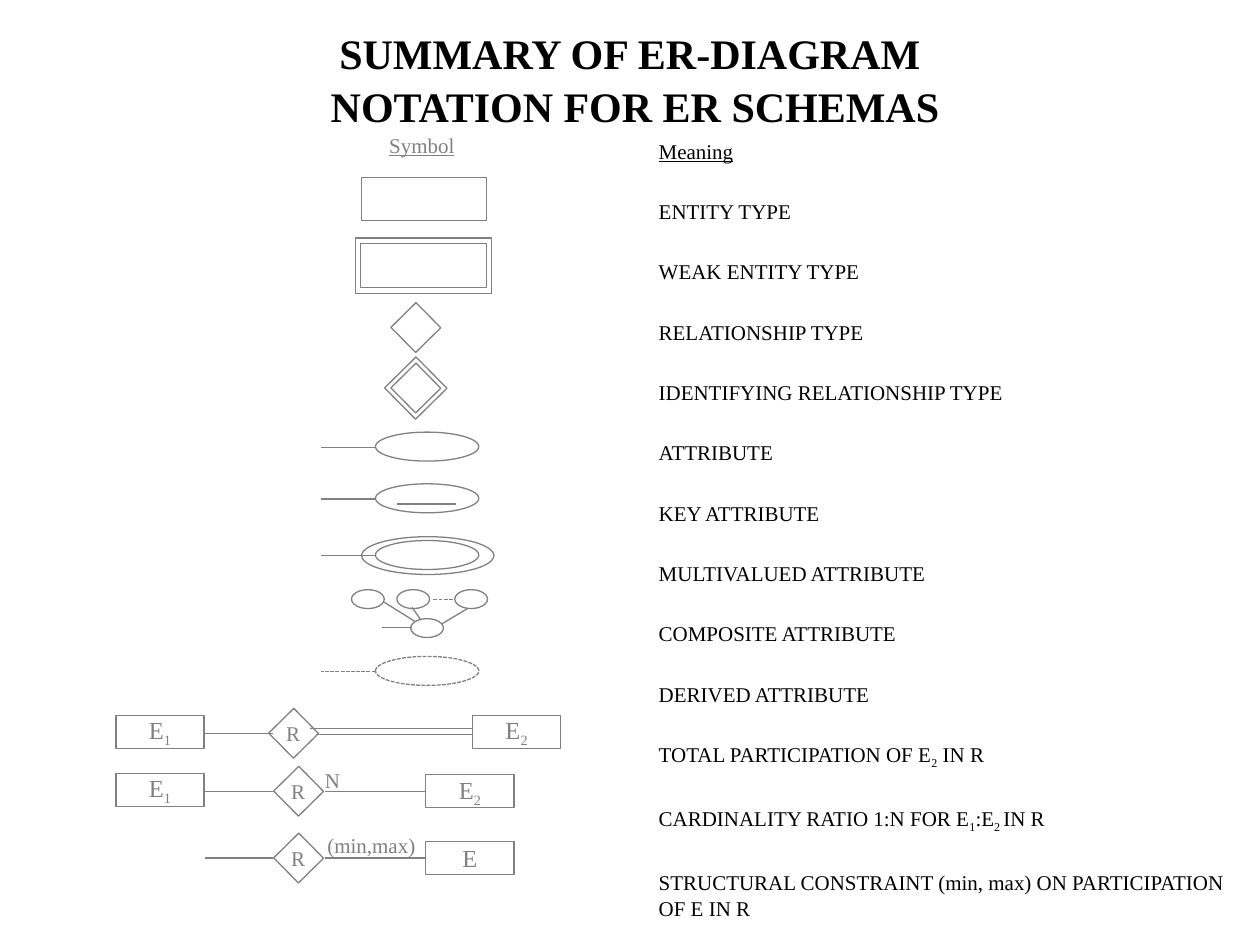
from lxml.etree import SubElement
from pptx import Presentation
from pptx.dml.color import RGBColor
from pptx.enum.dml import MSO_LINE
from pptx.enum.shapes import MSO_CONNECTOR, MSO_SHAPE
from pptx.enum.text import MSO_ANCHOR, PP_ALIGN
from pptx.oxml.ns import qn
from pptx.util import Inches, Pt

# Text between bars is set as a subscript.
TITLE = "SUMMARY OF ER-DIAGRAM \vNOTATION FOR ER SCHEMAS"
MEANINGS = [
    "Meaning", "ENTITY TYPE", "WEAK ENTITY TYPE", "RELATIONSHIP TYPE",
    "IDENTIFYING RELATIONSHIP TYPE", "ATTRIBUTE", "KEY ATTRIBUTE",
    "MULTIVALUED ATTRIBUTE", "COMPOSITE ATTRIBUTE", "DERIVED ATTRIBUTE",
    "TOTAL PARTICIPATION OF E|2| IN R",
    "CARDINALITY RATIO 1:N FOR E|1|:E|2 |IN R",
    "STRUCTURAL CONSTRAINT (min, max) ON PARTICIPATION OF E IN R",
]
ENTITIES = [(2.87, 1.41, 0.99, 0.34), (2.86, 1.93, 1, 0.35), (2.82, 1.89, 1.08, 0.44)]
DIAMONDS = [(3.3, 2.6, 0.28), (3.3, 3.08, 0.28), (3.3, 3.08, 0.35)]  # centre, side
ATTRIBUTES = [(3.43, False), (3.84, False), (4.29, False), (5.21, True)]  # top, derived
PARTS = [(2.79, 4.68), (3.15, 4.68), (3.61, 4.68), (3.26, 4.91)]
PART_LINES = [
    (3.27, 4.98, 3.03, 4.98), (3.05, 4.78, 3.29, 4.93),
    (3.27, 4.82, 3.34, 4.92), (3.51, 4.95, 3.71, 4.83),
]
# top, diamond centre, left entity, right entity and its x, lines to the right
RELATIONS = [
    (5.68, 2.33, "E|1|", "E|2|", 3.75, [(2.46, 5.78), (2.51, 5.83)]),
    (6.14, 2.37, "E|1|", "E|2|", 3.38, [(2.58, 6.28)]),
    (6.67, 2.37, None, "E", 3.38, [(2.58, 6.81)]),
]
LABELS = [("N", 2.48, 6.04, 0.32), ("(min,max)", 2.5, 6.56, 0.9)]

THEME = {
    "font": "Times New Roman", "ink": RGBColor(0, 0, 0),
    "gray": RGBColor(0x80, 0x80, 0x80), "line": Pt(0.75),
    "title": Pt(24), "body": Pt(12), "name": Pt(14),
}

deck = Presentation()
deck.slide_width, deck.slide_height = Inches(10), Inches(7.5)
slide = deck.slides.add_slide(deck.slide_layouts[6])


def write(par, text, size="body", color="gray", **style):
    """Fill a paragraph, lowering every second piece between bars."""
    for i, piece in enumerate(text.split("|")):
        for j, part in enumerate(piece.split("\v")):
            if j:
                par.add_line_break()
            if not part:
                continue
            run = par.add_run()
            run.text = part
            look = {"name": THEME["font"], "size": THEME[size], **style}
            for key, value in look.items():
                setattr(run.font, key, value)
            run.font.color.rgb = THEME[color]
            if i % 2:
                run.font._element.set("baseline", "-25000")


def label(box, text, align=PP_ALIGN.LEFT, wrap=False, pad=0.05, **style):
    frame = slide.shapes.add_textbox(*map(Inches, box)).text_frame
    frame.word_wrap = wrap
    frame.margin_top = frame.margin_bottom = Inches(pad)
    frame.paragraphs[0].alignment = align
    write(frame.paragraphs[0], text, **style)
    return frame


def stroke(item, dash=False):
    item.line.color.rgb = THEME["gray"]
    item.line.width = THEME["line"]
    if dash:
        item.line.dash_style = MSO_LINE.SQUARE_DOT


def shape(kind, box, dash=False):
    item = slide.shapes.add_shape(kind, *map(Inches, box))
    item.shadow.inherit = False
    item.fill.background()
    stroke(item, dash)
    return item


def link(x1, y1, x2, y2, dash=False):
    item = slide.shapes.add_connector(MSO_CONNECTOR.STRAIGHT, *map(Inches, (x1, y1, x2, y2)))
    stroke(item, dash)
    SubElement(item._element.spPr, qn("a:effectLst"))


def diamond(x, y, side):
    box = (x - side / 2, y - side / 2, side, side)
    shape(MSO_SHAPE.RECTANGLE, box).rotation = 45.4


def entity(x, y, text):
    frame = shape(MSO_SHAPE.RECTANGLE, (x, y, 0.7, 0.26)).text_frame
    frame.word_wrap = False
    frame.vertical_anchor = MSO_ANCHOR.MIDDLE
    frame.paragraphs[0].alignment = PP_ALIGN.CENTER
    write(frame.paragraphs[0], text, size="name")


head = label((0.08, 0.22, 9.92, 0.85), TITLE, PP_ALIGN.CENTER, True, 0,
             size="title", color="ink", bold=True)
head.vertical_anchor = MSO_ANCHOR.MIDDLE
head.margin_bottom = Inches(0.05)
head.paragraphs[0].line_spacing = 1.04

body = label((5.13, 1.04, 4.83, 6.21), MEANINGS[0], wrap=True, color="ink", underline=True)
for text in MEANINGS[1:]:
    par = body.add_paragraph()
    par.space_before = Pt(9)
    write(par, text, color="ink")
for par in body.paragraphs:
    par.space_after = Pt(10.5)
    par.line_spacing = 1.04

label((2.99, 1.05, 0.72, 0.2), "Symbol", pad=0, underline=True)
for box in ENTITIES:
    shape(MSO_SHAPE.RECTANGLE, box)
for spot in DIAMONDS:
    diamond(*spot)

for top, derived in ATTRIBUTES:
    shape(MSO_SHAPE.OVAL, (2.98, top, 0.82, 0.23), derived)
    link(2.98, top + 0.12, 2.55, top + 0.12, derived)
link(3.15, 4, 3.62, 4)  # key underline
shape(MSO_SHAPE.OVAL, (2.87, 4.26, 1.05, 0.3))  # multivalued ring

for x, y in PARTS:
    shape(MSO_SHAPE.OVAL, (x, y, 0.26, 0.15))
for ends in PART_LINES:
    link(*ends)
link(3.44, 4.76, 3.6, 4.76, True)

for top, mid, left, right, x, lines in RELATIONS:
    if left:
        entity(0.92, top, left)
    link(1.63, top + 0.14, 2.17, top + 0.14)
    diamond(mid, top + 0.14, 0.28)
    label((mid - 0.16, top - 0.01, 0.31, 0.3), "R", PP_ALIGN.RIGHT)
    for start, y in lines:
        link(start, y, x, y)
    entity(x, top + (0.01 if x < 3.5 else 0), right)
for text, x, y, width in LABELS:
    label((x, y, width, 0.3), text)

deck.save("out.pptx")
